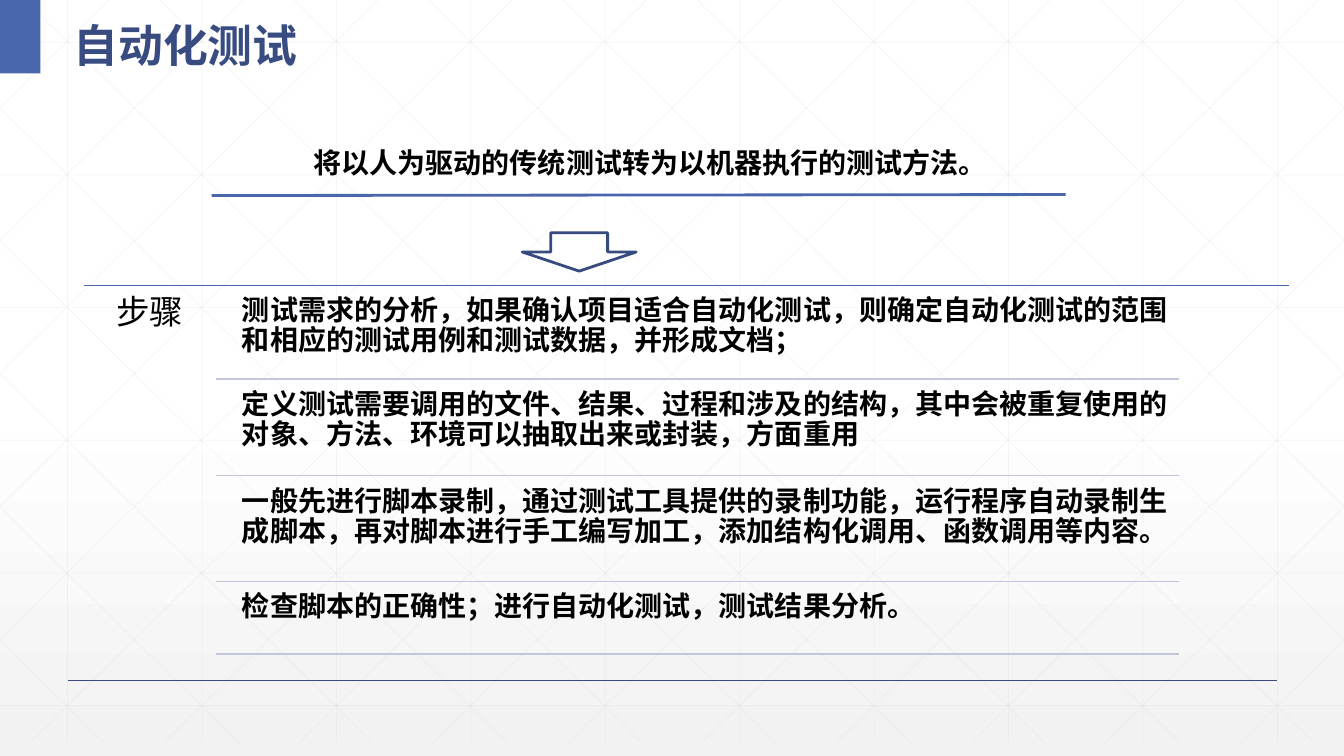
from copy import deepcopy
from lxml.etree import SubElement
from pptx import Presentation
from pptx.dml.color import RGBColor
from pptx.enum.shapes import MSO_CONNECTOR, MSO_SHAPE
from pptx.enum.text import MSO_ANCHOR, PP_ALIGN
from pptx.oxml.ns import qn
from pptx.util import Pt

WHITE = RGBColor(0xFF, 0xFF, 0xFF)
PALE = RGBColor(0xF2, 0xF2, 0xF2)
GRID = RGBColor(0xD9, 0xD9, 0xD9)
RULE = RGBColor(0xC1, 0xC6, 0xDB)
BLUE = RGBColor(0x4A, 0x66, 0xAC)
NAVY = RGBColor(0x38, 0x4C, 0x81)
EDGE = RGBColor(0x37, 0x4B, 0x7F)
BLACK = RGBColor(0, 0, 0)

PX = 9144  # EMU: 100 px to the inch
WIDE, HIGH = 1333, 750
CJK = "Noto Sans CJK SC"

STEPS = [  # text, top rule, bottom rule
    ("测试需求的分析，如果确认项目适合自动化测试，则确定自动化测试的范围"
     "和相应的测试用例和测试数据，并形成文档；", 283, 376),
    ("定义测试需要调用的文件、结果、过程和涉及的结构，其中会被重复使用的"
     "对象、方法、环境可以抽取出来或封装，方面重用", 376, 472),
    ("一般先进行脚本录制，通过测试工具提供的录制功能，运行程序自动录制生"
     "成脚本，再对脚本进行手工编写加工，添加结构化调用、函数调用等内容。", 472, 577),
    ("检查脚本的正确性；进行自动化测试，测试结果分析。", 577, 649),
]


def emu(*px):
    return [round(n * PX) for n in px]


class Deck:
    def __init__(self):
        self.prs = Presentation()
        self.prs.slide_width, self.prs.slide_height = emu(WIDE, HIGH)
        self.slide = self.prs.slides.add_slide(self.prs.slide_layouts[6])
        self.shapes = self.slide.shapes

    def shade(self):
        """Fill the background from white down to pale grey."""
        fill = self.slide.background.fill
        fill.gradient()
        fill.gradient_angle = 270
        stops = self.slide.element.find(".//" + qn("a:gsLst"))
        stops.insert(1, deepcopy(stops[0]))
        for stop, (place, color) in zip(
                fill.gradient_stops, [(0, WHITE), (0.53, WHITE), (1, PALE)]):
            stop.position = place
            stop.color.rgb = color

    def line(self, x1, y1, x2, y2, color, width=1, alpha=None):
        line = self.shapes.add_connector(
            MSO_CONNECTOR.STRAIGHT, *emu(x1, y1, x2, y2))
        line.line.color.rgb = color
        line.line.width = Pt(width)
        props = line._element.spPr
        if alpha:
            tint = props.find(".//" + qn("a:srgbClr"))
            SubElement(tint, qn("a:alpha")).set("val", str(alpha * 1000))
        SubElement(props, qn("a:effectLst"))

    def shape(self, kind, x, y, w, h, fill=None, edge=None):
        shape = self.shapes.add_shape(kind, *emu(x, y, w, h))
        shape.shadow.inherit = False
        if fill:
            shape.fill.solid()
            shape.fill.fore_color.rgb = fill
        else:
            shape.fill.background()
        if edge:
            shape.line.color.rgb = edge
            shape.line.width = Pt(2)
        else:
            shape.line.fill.background()

    def text(self, words, x, y, w, h, size=20, face=CJK, color=BLACK,
             bold=True, align=PP_ALIGN.LEFT, space=1.0, pad=None,
             anchor=MSO_ANCHOR.TOP):
        frame = self.shapes.add_textbox(*emu(x, y, w, h)).text_frame
        frame.word_wrap = True
        frame.vertical_anchor = anchor
        if pad:
            for side in ("left", "top", "right", "bottom"):
                setattr(frame, "margin_" + side, pad * PX)
        para = frame.paragraphs[0]
        para.alignment, para.line_spacing = align, space
        run = para.add_run()
        run.text = words
        style = {"size": Pt(size), "name": face, "bold": bold}
        for name, value in style.items():
            setattr(run.font, name, value)
        run.font.color.rgb = color
        if face == CJK:
            SubElement(run._r.rPr, qn("a:ea")).set("typeface", face)

    def grid(self):
        """Draw the faint square grid and its two sets of diagonals."""
        base, run, gap = 737, 745, 400 / 3
        lines = [(67 + gap * i, 0, 67 + gap * i, base) for i in range(10)]
        lines += [(0, 42 + 131.6 * i, WIDE, 42 + 131.6 * i) for i in range(6)]
        for i in range(-5, 10):
            start = 25 + gap * i
            left, right = max(0, start), min(WIDE, start + run)
            top, foot = [(x - start) * base / run for x in (left, right)]
            lines.append((left, top, right, foot))
            lines.append((WIDE - left, top, WIDE - right, foot))
        for ends in lines:
            self.line(*ends, GRID, 0.5, 25)


def main():
    deck = Deck()
    deck.shade()
    deck.grid()
    deck.line(67, 675, 1267, 675, NAVY)
    deck.shape(MSO_SHAPE.RECTANGLE, 0, 0, 40, 73, fill=BLUE)
    deck.text("自动化测试", 63, 0, 569, 73, size=32, face="Arial", color=NAVY,
              space=1.3, anchor=MSO_ANCHOR.MIDDLE)

    deck.line(83, 283, 1278, 283, BLUE)
    deck.text("步骤", 83, 283, 131, 370, size=24, face="Arial", bold=False,
              align=PP_ALIGN.CENTER, space=0.9, pad=10)
    for words, top, foot in STEPS:
        deck.text(words, 232, top + 3, 938, foot - top - 3, space=0.9, pad=8)
        deck.line(214, foot, 1169, foot, RULE)

    deck.text("将以人为驱动的传统测试转为以机器执行的测试方法。",
              168, 139, 954, 44, align=PP_ALIGN.CENTER)
    deck.line(210, 194, 1057, 193, BLUE, 2)
    deck.shape(MSO_SHAPE.DOWN_ARROW, 518, 231, 113, 38, edge=EDGE)
    deck.prs.save("out.pptx")


if __name__ == "__main__":
    main()
